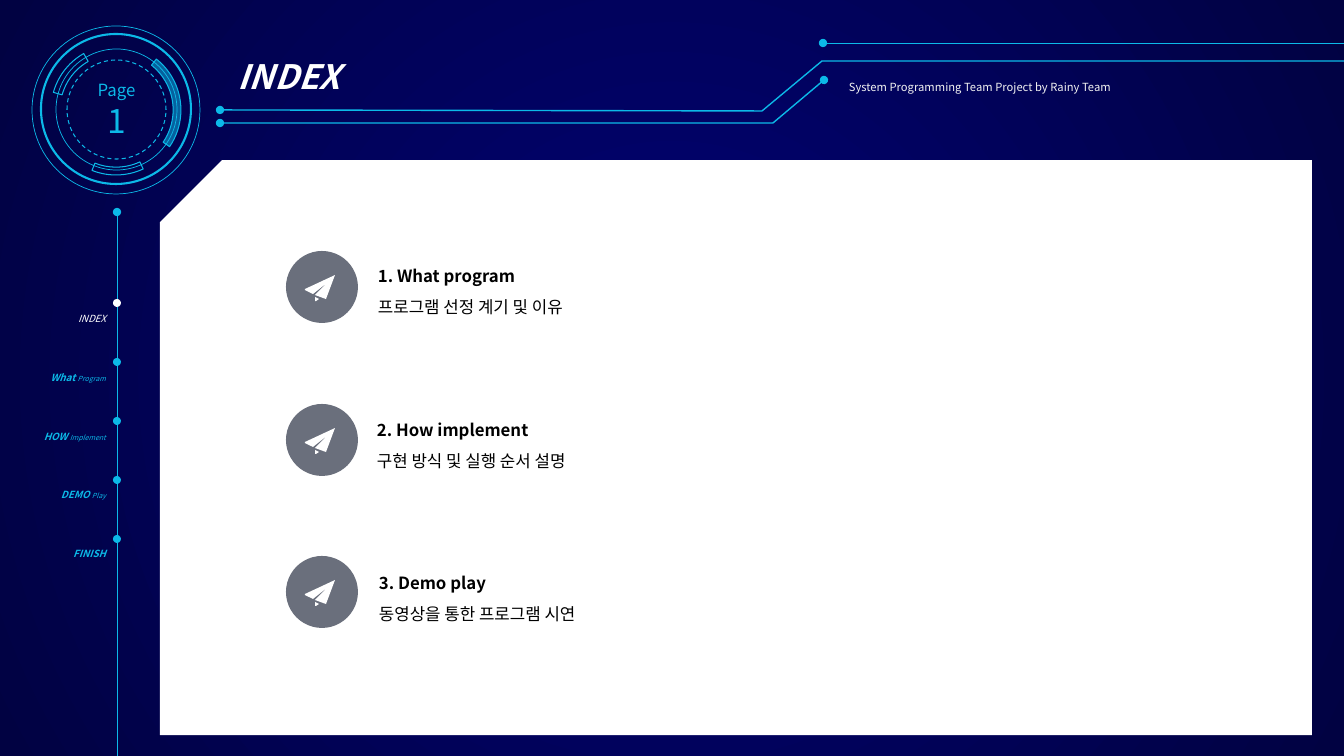
from lxml.etree import SubElement
from pptx import Presentation
from pptx.dml.color import RGBColor
from pptx.enum.dml import MSO_LINE
from pptx.enum.shapes import MSO_CONNECTOR, MSO_SHAPE
from pptx.enum.text import MSO_ANCHOR, MSO_AUTO_SIZE, PP_ALIGN
from pptx.oxml.ns import qn
from pptx.util import Pt

SCALE = 914400 / 100.8
FONT = "Noto Sans CJK KR"
OVAL, ARC, SNIP = MSO_SHAPE.OVAL, MSO_SHAPE.BLOCK_ARC, MSO_SHAPE.SNIP_1_RECTANGLE
STRAIGHT, DASH = MSO_CONNECTOR.STRAIGHT, MSO_LINE.DASH
LEFT, CENTER, RIGHT = PP_ALIGN.LEFT, PP_ALIGN.CENTER, PP_ALIGN.RIGHT
MIDDLE, GROW = MSO_ANCHOR.MIDDLE, MSO_AUTO_SIZE.SHAPE_TO_FIT_TEXT
COLORS = {"cyan": "0CB9E8", "white": "FFFFFF", "pale": "F2F2F2", "black": "000000",
          "gray": "6A6F7C", "blue": "010276", "navy": "010242"}
WING = [(49, 24), (40, 48), (29, 44), (42, 31), (27, 43), (19, 39), (19, 38)]
TAIL = [(29, 46), (33, 48), (30, 50), (29, 50)]


def px(n):
    return round(n * SCALE)


def box(*sides):
    return [px(n) for n in sides]


def rgb(name):
    return RGBColor.from_string(COLORS[name])


def paint(shape, fill=None, line=None, width=1):
    shape.shadow.inherit = False
    if fill:
        shape.fill.solid()
        shape.fill.fore_color.rgb = rgb(fill)
    else:
        shape.fill.background()
    if line:
        stroke(shape, line, width)
    else:
        shape.line.fill.background()
    return shape


def stroke(shape, color, width):
    shape.line.color.rgb = rgb(color)
    shape.line.width = Pt(width)


def add_ends(shape, *ends):
    for end in ends:
        SubElement(shape.line._ln, qn(f"a:{end}"), type="oval")


def add_form(shapes, kind, sides, fill=None, line=None, width=1):
    return paint(shapes.add_shape(kind, *box(*sides)), fill, line, width)


def add_outline(shapes, points, fill=None, line=None, closed=True):
    pen = shapes.build_freeform(*points[0], scale=SCALE)
    pen.add_line_segments(points[1:], close=closed)
    return paint(pen.convert_to_shape(), fill, line)


def add_line(shapes, start, end):
    line = shapes.add_connector(STRAIGHT, *box(*start, *end))
    stroke(line, "cyan", 0.5)
    add_ends(line, "headEnd")
    SubElement(line._element.spPr, qn("a:effectLst"))


def add_run(para, text, size, color, bold=False, italic=False):
    run = para.add_run()
    run.text = text
    font = run.font
    font.name, font.size, font.bold, font.italic = FONT, Pt(size), bold, italic
    font.color.rgb = rgb(color)
    SubElement(font._element, qn("a:ea"), typeface=FONT)


def add_text(shapes, sides, paras, space=1.5, align=LEFT):
    frame = shapes.add_textbox(*box(*sides)).text_frame
    frame.word_wrap = True
    frame.auto_size = GROW
    for i, runs in enumerate(paras):
        para = frame.add_paragraph() if i else frame.paragraphs[0]
        para.line_spacing, para.alignment = space, align
        for run in runs:
            add_run(para, *run)


def set_back(slide):
    fill = slide.background.fill
    fill.gradient()
    for stop, name in zip(fill.gradient_stops, ("blue", "navy")):
        stop.color.rgb = rgb(name)
    lin = next(slide._element.iter(qn("a:lin")))
    grad = lin.getparent()
    grad.remove(lin)
    way = SubElement(grad, qn("a:path"), path="circle")
    SubElement(way, qn("a:fillToRect"), l="50000", t="50000", r="50000", b="50000")


def add_dial(shapes):
    group = shapes.add_group_shape().shapes
    for sides, width in (((41, 34, 150, 150), 1.5), ((56, 49, 121, 121), 0.5),
                         ((32, 26, 168, 168), 0.5)):
        add_form(group, OVAL, sides, line="cyan", width=width)
    for fill, *angles in (("cyan", 185.07, 20.62, 0.06), (None, 117.42, 144.14, 0.07),
                          (None, 39.14, 66.95, 0.06)):
        arc = add_form(group, ARC, (51, 45, 130, 130), fill, "cyan", 0.75)
        for i, value in enumerate(angles):
            arc.adjustments[i] = value
        if fill:
            tint = next(arc._element.spPr.iter(qn("a:srgbClr")))
            SubElement(tint, qn("a:alpha"), val="52000")
    core = add_form(group, OVAL, (67, 60, 99, 99), line="cyan", width=0.75)
    core.line.dash_style = DASH
    frame = core.text_frame
    frame.vertical_anchor = MIDDLE
    para = frame.paragraphs[0]
    para.alignment = CENTER
    add_run(para, "Page", 12, "cyan")
    para.add_line_break()
    add_run(para, "1", 24, "cyan")


def add_header(shapes):
    low = add_outline(shapes, [(220, 123), (773, 123), (824, 80)], line="cyan", closed=False)
    add_ends(low, "headEnd", "tailEnd")
    add_text(shapes, (228, 31, 549, 72), [[("INDEX", 24, "white", True, True)]])
    high = add_outline(shapes, [(220, 110), (762, 111), (822, 61), (1347, 61)],
                       line="cyan", closed=False)
    add_ends(high, "headEnd")
    add_line(shapes, (823, 43), (1344, 43))
    add_text(shapes, (839, 69, 287, 30),
             [[("System Programming Team Project by Rainy Team", 8, "pale")]])


def add_nav(shapes):
    add_line(shapes, (117, 212), (117, 756))
    paras = [[("INDEX", 7, "white", False, True)]]
    for head, rest in (("What ", "Program"), ("HOW ", "Implement"), ("DEMO ", "Play"),
                       ("FINISH", "")):
        runs = [(head, 7, "cyan", True, True)]
        if rest:
            runs.append((rest, 5, "cyan", False, True))
        paras.append(runs)
    add_text(shapes, (1, 261, 115, 366), paras, 5, RIGHT)
    for i in range(len(paras)):
        add_form(shapes, OVAL, (113, 299 + 59 * i, 8, 8), "cyan" if i else "white")


def add_item(shapes, top, left, text_top, title, note):
    group = shapes.add_group_shape().shapes
    add_form(group, OVAL, (286, top, 72, 72), "gray")
    for part in (TAIL, WING):
        add_outline(group, [(286 + x, top + y) for x, y in part], "white")
    add_text(shapes, (left, text_top, 273, 94),
             [[(title, 12, "black", True)], [(note, 12, "black")]])


def main():
    deck = Presentation()
    deck.slide_width, deck.slide_height = box(1344, 756)
    slide = deck.slides.add_slide(deck.slide_layouts[6])
    shapes = slide.shapes
    set_back(slide)
    add_dial(shapes)
    add_header(shapes)
    card = add_form(shapes, SNIP, (160, 160, 1152, 575), "white")
    card.adjustments[0] = 0.108
    card._element.spPr.xfrm.set("flipH", "1")
    add_nav(shapes)
    for item in ((251, 368, 251, "1. What program", "프로그램 선정 계기 및 이유"),
                 (404, 367, 405, "2. How implement", "구현 방식 및 실행 순서 설명"),
                 (556, 369, 558, "3. Demo play", "동영상을 통한 프로그램 시연")):
        add_item(shapes, *item)
    deck.save("out.pptx")


main()
